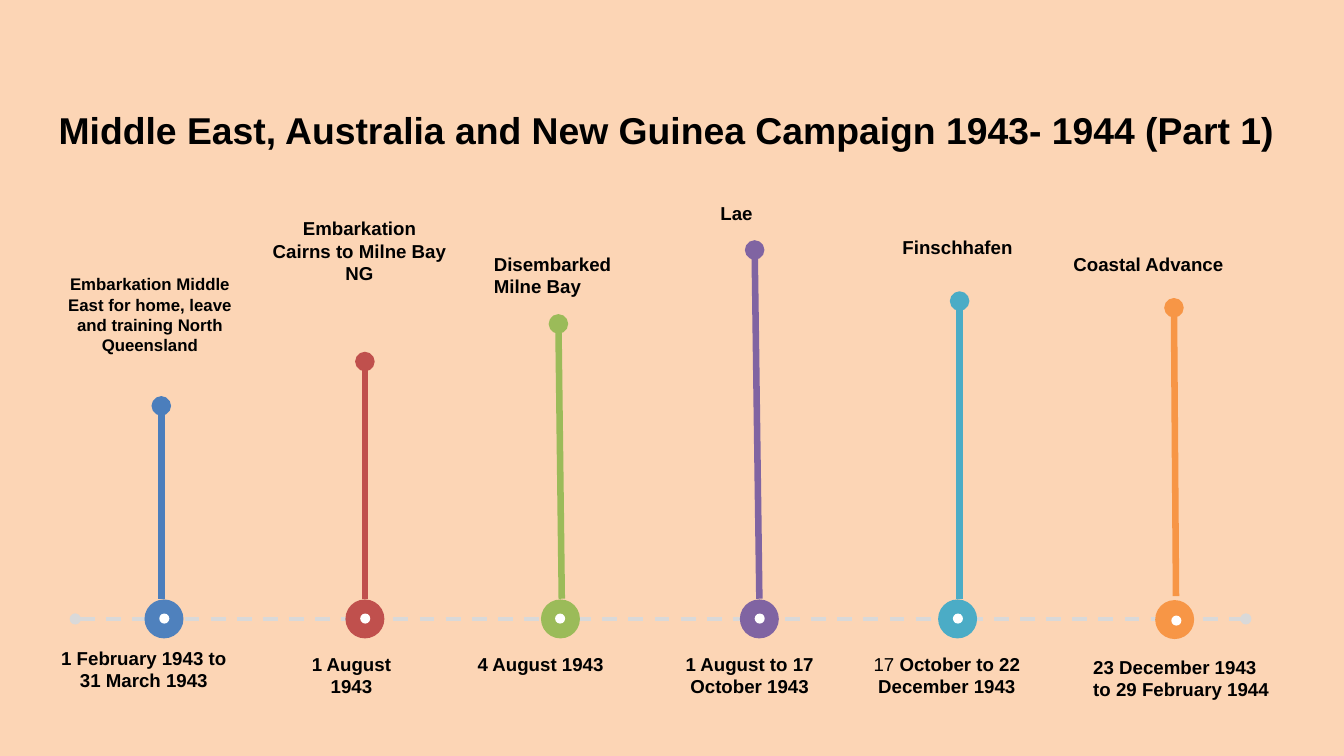
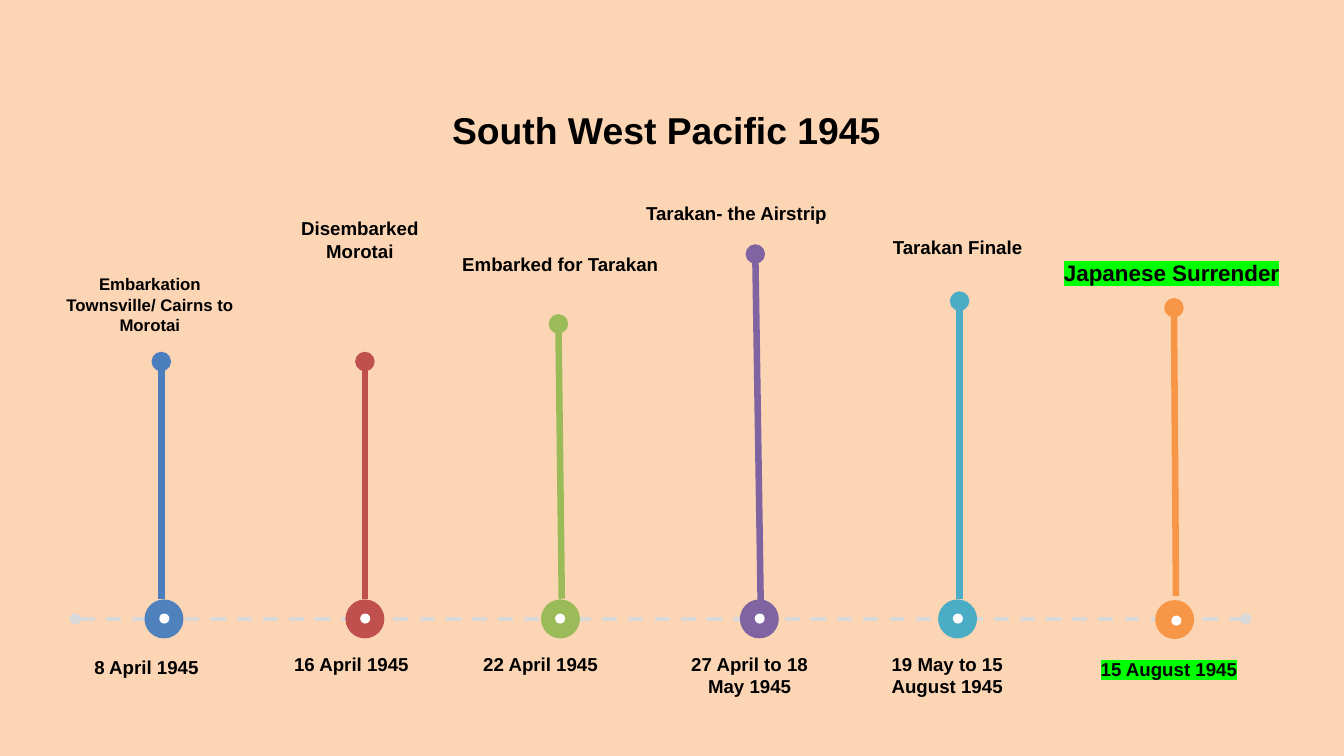
from dataclasses import dataclass, field
from typing import NamedTuple

from lxml.etree import SubElement
from pptx import Presentation
from pptx.dml.color import RGBColor
from pptx.enum.dml import MSO_LINE
from pptx.enum.shapes import MSO_CONNECTOR, MSO_SHAPE
from pptx.enum.text import MSO_AUTO_SIZE, PP_ALIGN
from pptx.oxml.ns import qn
from pptx.util import Inches, Pt

PEACH = RGBColor(0xFC, 0xD5, 0xB5)
BLACK = RGBColor(0x00, 0x00, 0x00)
WHITE = RGBColor(0xFF, 0xFF, 0xFF)
GREY = RGBColor(0xD9, 0xD9, 0xD9)
BLUE = RGBColor(0x4F, 0x81, 0xBD)
STEEL = RGBColor(0x4B, 0x7E, 0xBC)
RED = RGBColor(0xC0, 0x50, 0x4D)
GREEN = RGBColor(0x9B, 0xBB, 0x59)
PURPLE = RGBColor(0x80, 0x64, 0xA2)
TEAL = RGBColor(0x4B, 0xAC, 0xC6)
ORANGE = RGBColor(0xF7, 0x96, 0x46)
LIME = RGBColor(0x00, 0xFF, 0x00)

COLUMNS, ROWS = 20, 11.25
FONT = "Arial"
RING, DOT = 0.58, 0.15
AXIS_ROW = 9.21
LABEL_SIZE, SMALL_SIZE, LARGE_SIZE, TITLE_SIZE = 20, 18, 24, 40


class Milestone(NamedTuple):
    ring: tuple
    dot: tuple
    foot: tuple
    head: tuple
    fill: RGBColor
    stem: RGBColor


MILESTONES = [
    Milestone((2.15, 8.92), (2.37, 9.13), (2.4, 8.91), (2.4, 5.38), BLUE, STEEL),
    Milestone((5.14, 8.92), (5.36, 9.13), (5.43, 8.91), (5.43, 5.38), RED, RED),
    Milestone((8.05, 8.92), (8.26, 9.13), (8.36, 8.91), (8.31, 4.82), GREEN, GREEN),
    Milestone((11.01, 8.92), (11.23, 9.13), (11.3, 8.91), (11.23, 3.72), PURPLE, PURPLE),
    Milestone((13.96, 8.92), (14.18, 9.13), (14.28, 8.91), (14.28, 4.48), TEAL, TEAL),
    Milestone((17.19, 8.93), (17.43, 9.16), (17.5, 8.87), (17.47, 4.58), ORANGE, ORANGE),
]


@dataclass
class Caption:
    text: str
    place: tuple
    style: dict = field(default_factory=dict)


LEFT = {"align": PP_ALIGN.LEFT}
SMALL = {"size": SMALL_SIZE}
MARKED = {"highlight": LIME}

NEW_GUINEA = [
    Caption("Embarkation Cairns to Milne Bay NG", (3.95, 3.18, 2.8, 1.13)),
    Caption("Lae", (9.39, 2.96, 3.14, 0.44)),
    Caption("Finschhafen", (12.87, 3.46, 2.76, 0.45)),
    Caption("Coastal Advance", (15.62, 3.71, 2.94, 0.44)),
    Caption("1 February 1943 to 31 March 1943", (0.75, 9.57, 2.78, 1.11)),
    Caption("1 August 1943", (4.23, 9.66, 2, 0.77)),
    Caption("4 August 1943", (6.93, 9.66, 2.23, 0.44)),
    Caption("1 August to 17 October 1943", (10, 9.66, 2.31, 0.77)),
    Caption(" October to 22 December 1943", (12.85, 9.66, 2.48, 0.77), {"light_start": "17"}),
    Caption("Disembarked Milne Bay", (7.25, 3.71, 2, 0.77), LEFT),
    Caption("23 December 1943 to 29 February 1944", (16.17, 9.71, 2.92, 1.11), LEFT),
    Caption("Embarkation Middle East for home, leave and training North Queensland",
            (0.84, 4.03, 2.78, 1.31), SMALL),
]

SOUTH_WEST_PACIFIC = [
    Caption("Disembarked Morotai", (3.92, 3.18, 2.87, 0.77)),
    Caption("Tarakan- the Airstrip", (9.39, 2.96, 3.14, 0.44)),
    Caption("Tarakan Finale", (12.87, 3.46, 2.76, 0.45)),
    Caption("Japanese Surrender", (15.71, 3.8, 3.45, 0.5), {"size": LARGE_SIZE, **MARKED}),
    Caption("8 April 1945", (0.84, 9.71, 2.68, 0.44)),
    Caption("16 April 1945", (4.23, 9.66, 2, 0.44)),
    Caption("22 April 1945", (6.93, 9.66, 2.23, 0.44)),
    Caption("27 April to 18 May 1945", (10, 9.66, 2.31, 0.77)),
    Caption("19 May to 15 August 1945", (12.69, 9.66, 2.81, 0.77)),
    Caption("Embarked for Tarakan", (6.78, 3.71, 3.14, 0.44), LEFT),
    Caption("15 August 1945", (16.28, 9.74, 2.29, 0.77), {**LEFT, **MARKED}),
    Caption("Embarkation Townsville/ Cairns to Morotai", (0.84, 4.03, 2.78, 1.01), SMALL),
]


def write(para, text, size=LABEL_SIZE, bold=True, highlight=None):
    span = para.add_run()
    span.text = text
    span.font.size = Pt(size)
    span.font.bold = bold
    span.font.color.rgb = BLACK
    if highlight is not None:
        mark = SubElement(span.font._element, qn("a:highlight"))
        SubElement(mark, qn("a:srgbClr"), val=str(highlight))
    span.font.name = FONT


class Timeline:
    def __init__(self, deck):
        self.deck = deck
        self.page = None
        self.column = deck.slide_width / COLUMNS
        self.row = deck.slide_height / ROWS

    def grid(self, *lengths):
        units = (self.column, self.row) * 2
        return [round(length * unit) for length, unit in zip(lengths, units)]

    def start_page(self):
        self.page = self.deck.slides.add_slide(self.deck.slide_layouts[6])
        self.page.background.fill.solid()
        self.page.background.fill.fore_color.rgb = PEACH

    def text(self, text, place, align=PP_ALIGN.CENTER, light_start=None, **style):
        box = self.page.shapes.add_textbox(*self.grid(*place))
        frame = box.text_frame
        frame.word_wrap = True
        frame.auto_size = MSO_AUTO_SIZE.SHAPE_TO_FIT_TEXT
        para = frame.paragraphs[0]
        para.alignment = align
        if light_start:
            write(para, light_start, bold=False, **style)
        write(para, text, **style)

    def circle(self, corner, diameter, color):
        shape = self.page.shapes.add_shape(
            MSO_SHAPE.OVAL, *self.grid(*corner, diameter, diameter))
        shape.shadow.inherit = False
        shape.fill.solid()
        shape.fill.fore_color.rgb = color
        shape.line.fill.background()

    def line(self, start, end, color, width, ends=("tailEnd",), dash=None):
        connector = self.page.shapes.add_connector(
            MSO_CONNECTOR.STRAIGHT, *self.grid(*start, *end))
        connector.line.color.rgb = color
        connector.line.width = Pt(width)
        if dash is not None:
            connector.line.dash_style = dash
        outline = connector.line._get_or_add_ln()
        for end_name in ends:
            SubElement(outline, qn(f"a:{end_name}"), type="oval")
        SubElement(connector._element.spPr, qn("a:effectLst"))

    def build(self, title, milestones, captions):
        self.start_page()
        self.text(title, (0.75, 1.55, 18.33, 0.77), size=TITLE_SIZE)
        self.line((1.12, AXIS_ROW), (18.54, AXIS_ROW), GREY, 4,
                  ends=("headEnd", "tailEnd"), dash=MSO_LINE.DASH)
        for milestone in milestones:
            self.circle(milestone.ring, RING, milestone.fill)
        for milestone in milestones:
            self.circle(milestone.dot, DOT, WHITE)
        for milestone in milestones:
            self.line(milestone.foot, milestone.head, milestone.stem, 7)
        for caption in captions:
            self.text(caption.text, caption.place, **caption.style)


def main():
    deck = Presentation()
    deck.slide_width, deck.slide_height = Inches(COLUMNS), Inches(ROWS)
    timeline = Timeline(deck)

    campaign = list(MILESTONES)
    campaign[0] = campaign[0]._replace(head=(2.4, 6.04))
    timeline.build("Middle East, Australia and New Guinea Campaign 1943- 1944 (Part 1)",
                   campaign, NEW_GUINEA)

    pacific = list(MILESTONES)
    pacific[3] = pacific[3]._replace(foot=(11.32, 8.97), head=(11.24, 3.78))
    timeline.build("South West Pacific 1945", pacific, SOUTH_WEST_PACIFIC)

    deck.save("out.pptx")


if __name__ == "__main__":
    main()
